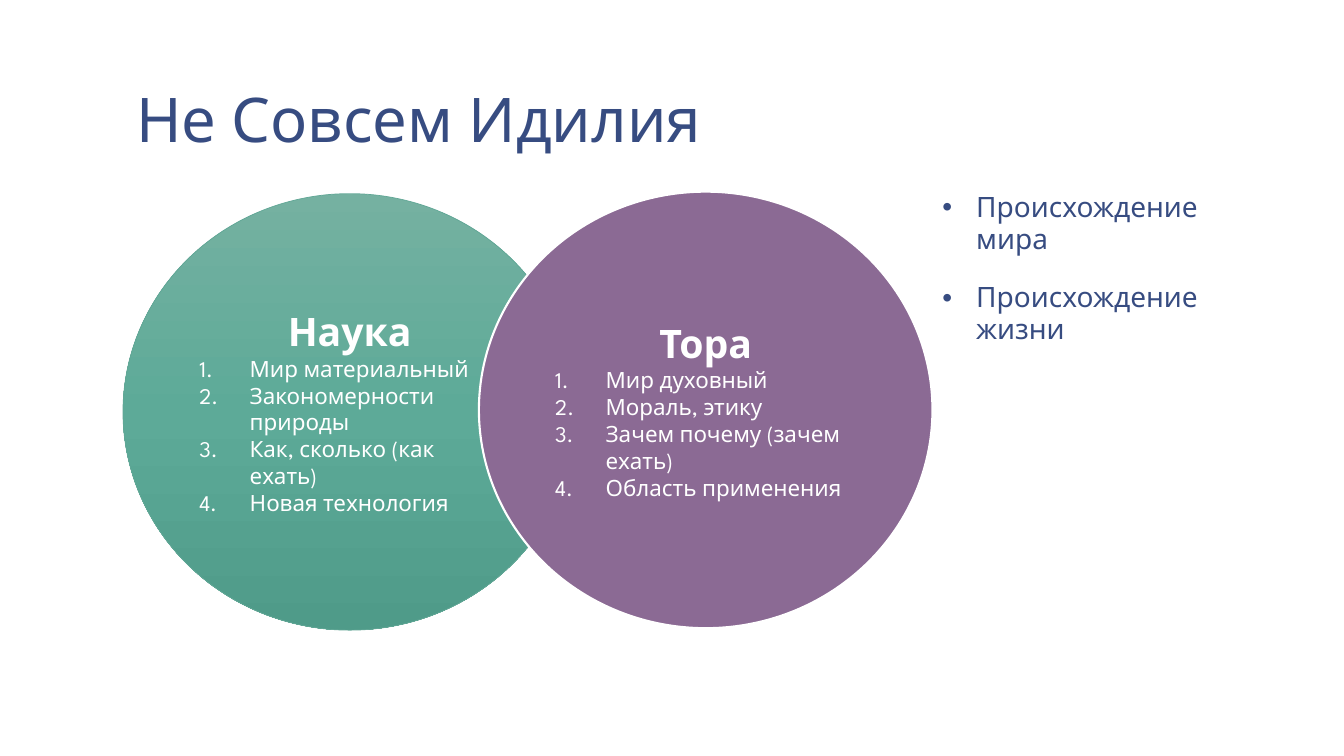
from copy import deepcopy
from dataclasses import dataclass
from typing import Any

from lxml.etree import SubElement
from pptx import Presentation
from pptx.dml.color import RGBColor
from pptx.enum.shapes import MSO_SHAPE
from pptx.enum.text import MSO_ANCHOR, MSO_AUTO_SIZE, PP_ALIGN
from pptx.oxml.ns import qn
from pptx.util import Cm, Pt

NAVY = RGBColor(0x37, 0x4C, 0x81)
WHITE = RGBColor(0xFF, 0xFF, 0xFF)
PURPLE = RGBColor(0x8B, 0x6A, 0x94)
GREEN_LIGHT = RGBColor(0x75, 0xB1, 0xA1)
GREEN = RGBColor(0x5D, 0xAA, 0x98)
GREEN_DARK = RGBColor(0x4F, 0x9B, 0x89)
GREEN_EDGE = RGBColor(0x61, 0xA7, 0x96)

FONT = "League Spartan"
CIRCLE_WIDTH, CIRCLE_HEIGHT = Cm(11.43), Cm(11)

TITLE_FONT = {"name": FONT, "size": Pt(44)}
TOPIC_FONT = {"name": FONT, "size": Pt(20)}
HEADING_FONT = {"name": FONT, "size": Pt(28), "bold": True}
ITEM_FONT = {"name": FONT, "size": Pt(16), "bold": False}


@dataclass(frozen=True)
class Circle:
    left: float
    top: float
    heading: str
    items: tuple[str, ...]
    colors: tuple[RGBColor, ...]
    edge: RGBColor
    edge_width: float


CIRCLES = (
    Circle(3.1, 4.88, "Наука",
           ("Мир материальный", "Закономерности природы",
            "Как, сколько (как ехать)", "Новая технология"),
           (GREEN_LIGHT, GREEN, GREEN_DARK), GREEN_EDGE, 0.5),
    Circle(12.07, 4.83, "Тора",
           ("Мир духовный", "Мораль, этику",
            "Зачем почему (зачем ехать)", "Область применения"),
           (PURPLE,), WHITE, 1.5),
)
TOPICS = ("Происхождение мира", "Происхождение жизни")


def apply_format(target: Any, formats: dict[str, Any]) -> None:
    for name, value in formats.items():
        setattr(target, name, value)


def write(paragraph: Any, text: str, font: dict[str, Any], color: RGBColor,
          formats: dict[str, Any]) -> None:
    run = paragraph.add_run()
    run.text = text
    apply_format(run.font, font)
    run.font.color.rgb = color
    apply_format(paragraph, formats)


def add_marker(paragraph: Any, indent: int, tag: str, typeface: str,
               **attributes: str) -> None:
    """Give the paragraph a hanging bullet or number."""
    properties = paragraph._p.get_or_add_pPr()
    properties.set("marL", str(indent))
    properties.set("indent", str(-indent))
    SubElement(properties, qn("a:buFont"), typeface=typeface)
    SubElement(properties, qn(tag), **attributes)


def fill_shape(shape: Any, colors: tuple[RGBColor, ...]) -> None:
    """Fill with one colour, or with an even top-to-bottom gradient."""
    if len(colors) == 1:
        shape.fill.solid()
        shape.fill.fore_color.rgb = colors[0]
        return
    shape.fill.gradient()
    shape.fill.gradient_angle = 270
    stop_list = shape._element.spPr.find(f".//{qn('a:gsLst')}")
    for _ in colors[2:]:
        stop_list.insert(1, deepcopy(stop_list[0]))
    for index, (stop, color) in enumerate(zip(shape.fill.gradient_stops, colors)):
        stop.position = index / (len(colors) - 1)
        stop.color.rgb = color


def add_circle(slide: Any, circle: Circle) -> None:
    shape = slide.shapes.add_shape(MSO_SHAPE.OVAL, Cm(circle.left), Cm(circle.top),
                                   CIRCLE_WIDTH, CIRCLE_HEIGHT)
    shape.shadow.inherit = False
    fill_shape(shape, circle.colors)
    shape.line.color.rgb = circle.edge
    shape.line.width = Pt(circle.edge_width)
    frame = shape.text_frame
    apply_format(frame, {"word_wrap": True, "vertical_anchor": MSO_ANCHOR.MIDDLE})
    write(frame.paragraphs[0], circle.heading, HEADING_FONT, WHITE,
          {"alignment": PP_ALIGN.CENTER})
    for item in circle.items:
        paragraph = frame.add_paragraph()
        write(paragraph, item, ITEM_FONT, WHITE, {"alignment": PP_ALIGN.LEFT})
        add_marker(paragraph, Cm(1.27), "a:buAutoNum", FONT, type="arabicPeriod")


def add_title(slide: Any) -> None:
    title = slide.shapes.title
    apply_format(title, {"left": Cm(3.1), "top": Cm(0.2),
                         "width": Cm(28.22), "height": Cm(3.89)})
    frame = title.text_frame
    apply_format(frame, {"word_wrap": True, "auto_size": MSO_AUTO_SIZE.NONE,
                         "vertical_anchor": MSO_ANCHOR.BOTTOM,
                         "margin_left": Cm(0.33), "margin_right": Cm(0.33),
                         "margin_top": Cm(0.18), "margin_bottom": Cm(0.18)})
    write(frame.paragraphs[0], "Не Совсем Идилия", TITLE_FONT, NAVY,
          {"alignment": PP_ALIGN.LEFT, "line_spacing": 0.85})


def add_topics(slide: Any) -> None:
    frame = slide.shapes.add_textbox(Cm(23.5), Cm(4.72), Cm(7.82), Cm(12.42)).text_frame
    frame.word_wrap = True
    for index, topic in enumerate(TOPICS):
        paragraph = frame.add_paragraph() if index else frame.paragraphs[0]
        write(paragraph, topic, TOPIC_FONT, NAVY,
              {"line_spacing": 0.95, "space_before": Pt(18.7)})
        add_marker(paragraph, Cm(0.85), "a:buChar", "Arial", char="•")


def main() -> None:
    presentation = Presentation()
    apply_format(presentation, {"slide_width": Cm(33.87), "slide_height": Cm(19.05)})
    slide = presentation.slides.add_slide(presentation.slide_layouts[5])
    add_title(slide)
    add_topics(slide)
    for circle in CIRCLES:
        add_circle(slide, circle)
    presentation.save("out.pptx")


if __name__ == "__main__":
    main()
